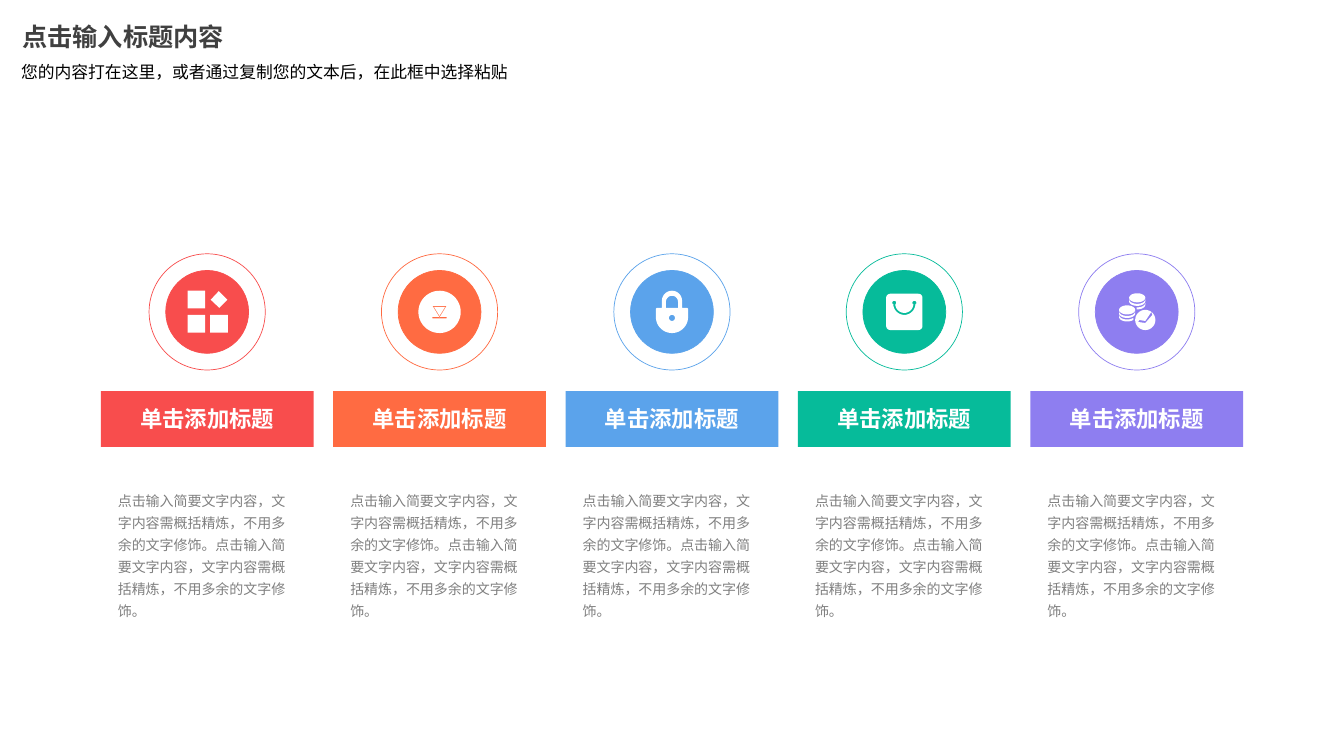
import math
import lxml.etree
import pptx
import pptx.util
import pptx.dml.color
import pptx.enum.shapes
import pptx.enum.text
import pptx.oxml.ns

Pt = pptx.util.Pt
KIND = pptx.enum.shapes.MSO_SHAPE
ALIGN = pptx.enum.text.PP_ALIGN
ANCHOR = pptx.enum.text.MSO_ANCHOR
FIT = pptx.enum.text.MSO_AUTO_SIZE
FACE = "Noto Sans CJK SC"
UNIT = 0.72
COLORS = {"red": "F84D4D", "orange": "FF6B42", "blue": "5BA3EB",
          "green": "06BB9A", "purple": "8E7EF0", "white": "FFFFFF",
          "black": "000000", "dark": "404040", "gray": "808080"}
LABEL = "单击添加标题"
DETAIL = "点击输入简要文字内容，文字内容需概括精炼，不用多余的文字修饰。" * 2


def rgb(name):
    """Return the named colour."""
    return pptx.dml.color.RGBColor.from_string(COLORS[name])


def write(shape, text, color, font, frame, para=None):
    """Fill a shape with one formatted paragraph."""
    body = shape.text_frame
    line = body.paragraphs[0]
    run = line.add_run()
    run.text = text
    run.font.color.rgb = rgb(color)
    font = {"name": FACE, **font}
    for item, values in ((body, frame), (line, para or {}), (run.font, font)):
        for key, value in values.items():
            setattr(item, key, value)
    lxml.etree.SubElement(run.font._element, pptx.oxml.ns.qn("a:ea"), typeface=FACE)


def paint(shape, fill, line=None):
    """Set the fill and outline of a shape."""
    shape.shadow.inherit = False
    shape.fill.solid()
    shape.fill.fore_color.rgb = rgb(fill)
    if line:
        shape.line.color.rgb = rgb(line)
        shape.line.width = Pt(0.5)
    else:
        shape.line.fill.background()


def arc(x, y, wide, high, start=0, end=360):
    """Return points along an elliptic arc, with y pointing down."""
    steps = max(6, abs(end - start) // 8)
    turns = [math.radians(start + (end - start) * i / steps) for i in range(steps + 1)]
    return [(x + wide * math.cos(t), y + high * math.sin(t)) for t in turns]


def box(x, y, wide, high):
    """Return the corners of a rectangle."""
    return [(x, y), (x + wide, y), (x + wide, y + high), (x, y + high)]


def tiles():
    """Return three squares and a diamond."""
    return [box(-19.5, -21, 17.5, 17.5), box(-19.5, 3, 17.5, 17.5),
            box(3, 3, 17.5, 17.5), [(20, -12), (11.5, -20.5), (3.5, -12), (12, -4)]]


def badge():
    """Return a disc with an open triangle and a bar cut out."""
    return [arc(0, 0, 21, 21), [(-7, -6), (7, -6), (0, 5.5)],
            [(-5.5, -5), (5.5, -5), (0, 4)], box(-7, 5, 14, 1.5)]


def lock():
    """Return a padlock with a keyhole."""
    case = [(-15, -4), (-10, -4), *arc(0, -11, 10, 10, 180, 360), (10, -4),
            (15, -4), (16, -3), *arc(0, 5, 16, 16, 0, 180), (-16, -3)]
    gap = [(-6, -4), *arc(0, -10, 6, 6, 180, 360), (6, -4)]
    return [case, gap, arc(0, 6, 3, 3)]


def bag():
    """Return a shopping bag with its handle cut out."""
    case = []
    for i, (x, y) in enumerate(box(-14, -14, 28, 28)):
        case += arc(x, y, 4, 4, 180 + 90 * i, 270 + 90 * i)
    grip = (arc(0, -8, 11, 11, 0, 180) + arc(-10, -9, 2, 2, 150, 390)
            + arc(0, -8, 9, 9, 180, 0) + arc(10, -9, 2, 2, 150, 390))
    return [case, grip]


def coins():
    """Return two stacks of coins and a ticked disc."""
    parts = []
    for x, y, start, end in ((0.5, -14, 0, 95), (-9.5, -2, 40, 180)):
        parts.append(arc(x, y, 8, 4.5))
        for drop, a, b in ((1.5, 0, 180), (5, start, end)):
            parts.append(arc(x, y + drop, 8, 4.5, a, b)
                         + arc(x, y + drop + 2, 8, 4.5, b, a))
    tick = [(8.5, 11), (1.5, 10), (2.5, 8), (8.5, 9), (14.5, 0), (15.5, 3)]
    return parts + [arc(8.5, 8, 10, 10), tick]


def icon(shapes, x, y, parts):
    """Draw white outlines around a centre."""
    parts = [[(Pt(x + UNIT * a), Pt(y + UNIT * b)) for a, b in part] for part in parts]
    pen = shapes.build_freeform(*parts[0][0])
    for i, part in enumerate(parts):
        if i:
            pen.move_to(*part[0])
        pen.add_line_segments(part[1:], close=True)
    paint(pen.convert_to_shape(), "white")


def medal(slide, x, y, color, parts):
    """Draw a ringed disc with its icon around a centre."""
    shapes = slide.shapes.add_group_shape().shapes
    for half, fill in ((41.5, "white"), (29.6, color)):
        disc = shapes.add_shape(KIND.OVAL, Pt(x - half), Pt(y - half),
                                Pt(2 * half), Pt(2 * half))
        paint(disc, fill, color)
    icon(shapes, x, y, parts)


def column(slide, x, y, wide, color, parts):
    """Draw one column: medal, label and detail."""
    label = slide.shapes.add_shape(KIND.RECTANGLE, Pt(x), Pt(y + 98), Pt(wide), Pt(40))
    paint(label, color)
    write(label, LABEL, "white", {"size": Pt(16), "bold": True},
          {"word_wrap": False, "vertical_anchor": ANCHOR.MIDDLE},
          {"alignment": ALIGN.CENTER})
    medal(slide, x + wide / 2, y + 41.5, color, parts)
    detail = slide.shapes.add_textbox(Pt(x + 12.2), Pt(y + 153.5), Pt(127.5), Pt(121))
    write(detail, DETAIL, "gray", {"size": Pt(10)},
          {"word_wrap": True, "vertical_anchor": ANCHOR.MIDDLE, "margin_left": 0,
           "margin_right": 0, "margin_top": 0, "margin_bottom": 0},
          {"line_spacing": 1.3})


def header(slide, x, y):
    """Write the title and the line under it."""
    shapes = slide.shapes.add_group_shape().shapes
    title = shapes.add_textbox(Pt(x + 8), Pt(y), Pt(168), Pt(30))
    write(title, "点击输入标题内容", "dark", {"size": Pt(18), "bold": True},
          {"word_wrap": True, "vertical_anchor": ANCHOR.MIDDLE,
           "margin_left": 0, "margin_right": 0})
    note = shapes.add_textbox(Pt(x), Pt(y + 29.5), Pt(480), Pt(21.6))
    write(note, "您的内容打在这里，或者通过复制您的文本后，在此框中选择粘贴", "black",
          {"size": Pt(12)}, {"word_wrap": True, "auto_size": FIT.SHAPE_TO_FIT_TEXT})


def main():
    """Build and save the slide."""
    deck = pptx.Presentation()
    deck.slide_width, deck.slide_height = Pt(960), Pt(540)
    slide = deck.slides.add_slide(deck.slide_layouts[6])
    marks = {"red": tiles, "orange": badge, "blue": lock, "green": bag, "purple": coins}
    for i, (color, mark) in enumerate(marks.items()):
        column(slide, 72 + 166 * i, 181.3, 152, color, mark())
    header(slide, 8, 10.8)
    deck.save("out.pptx")


if __name__ == "__main__":
    main()
